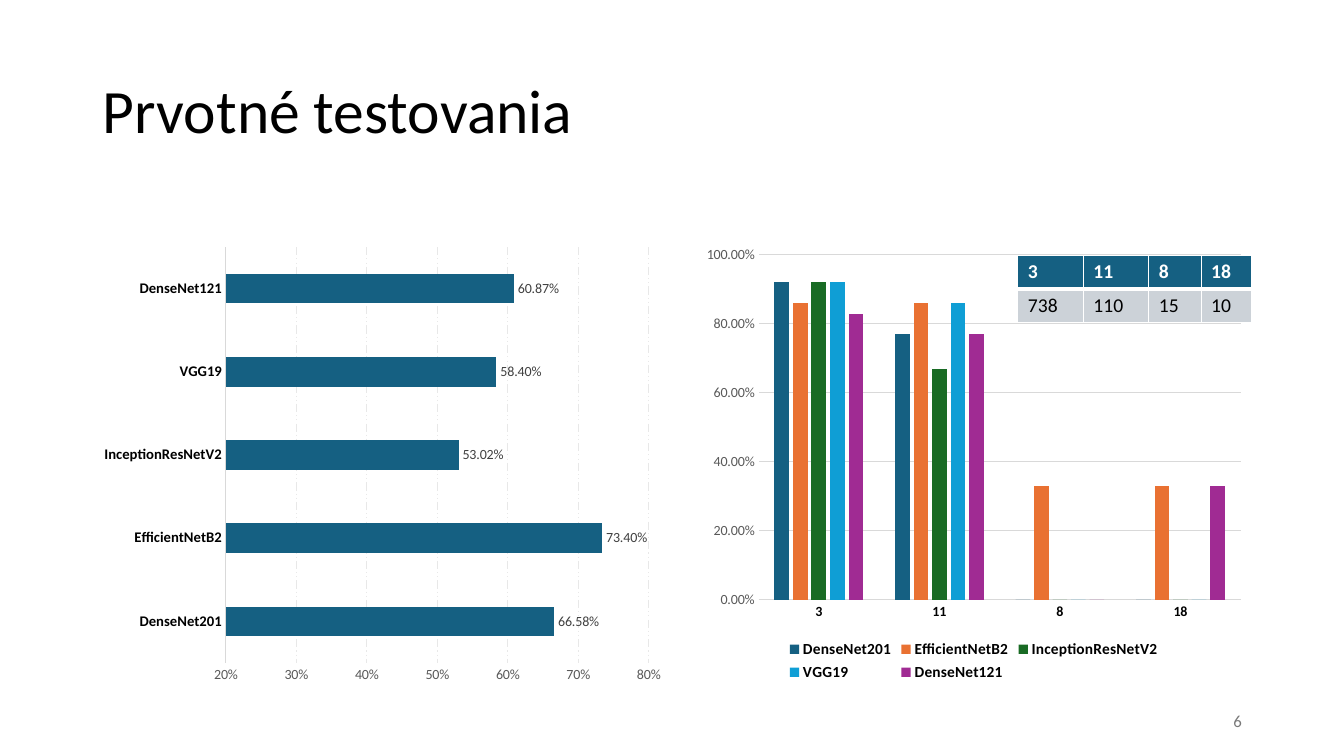
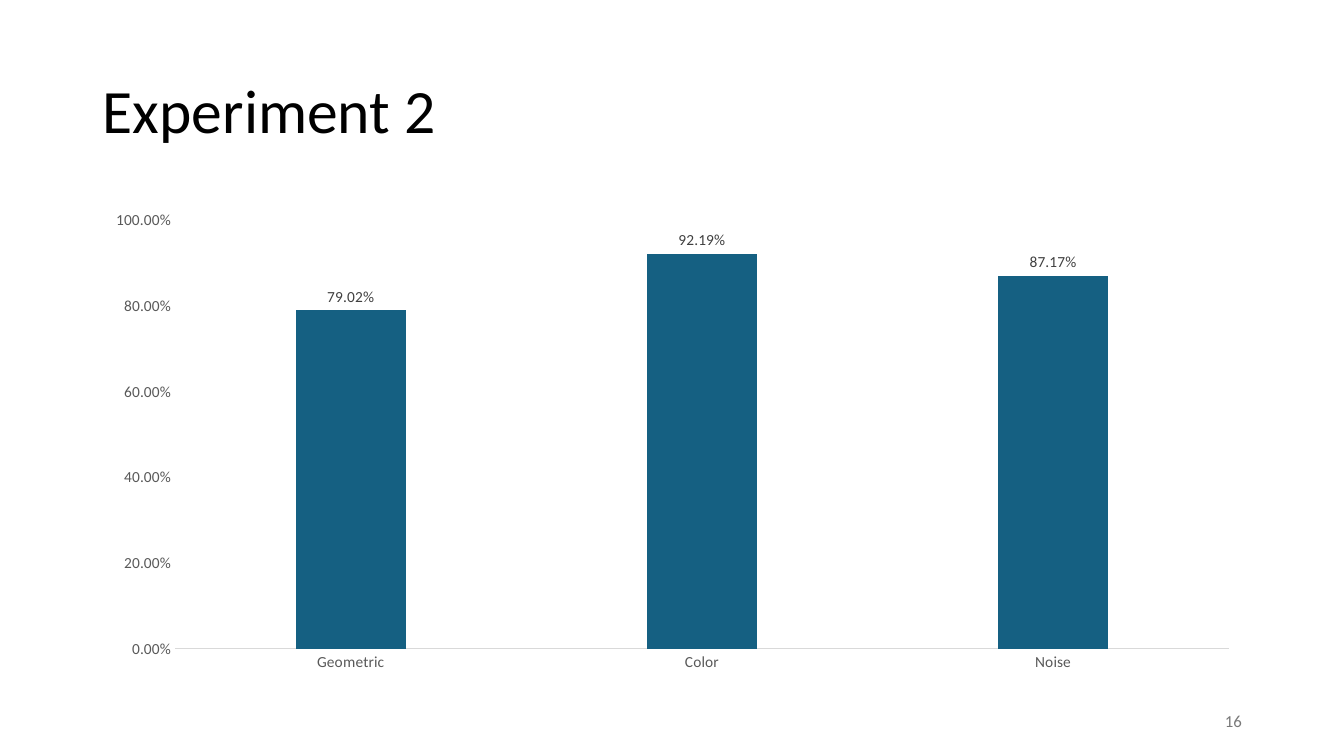
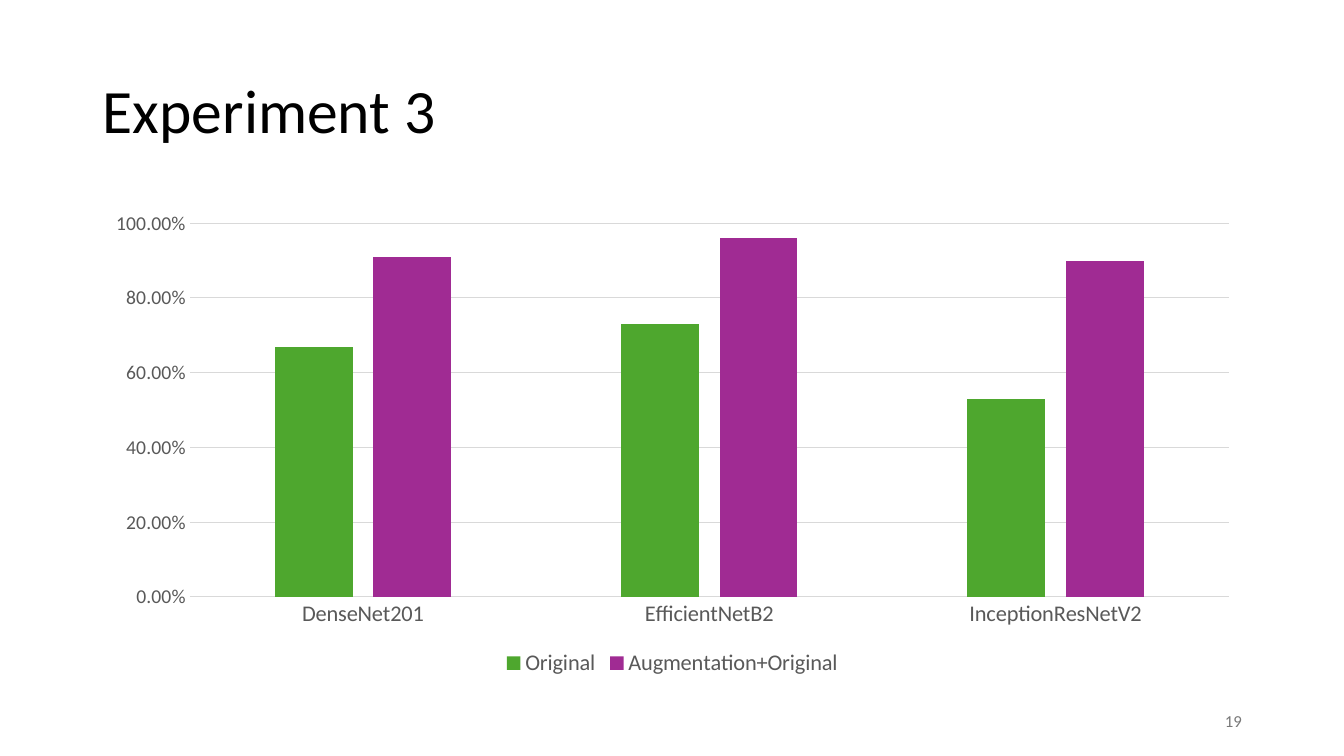
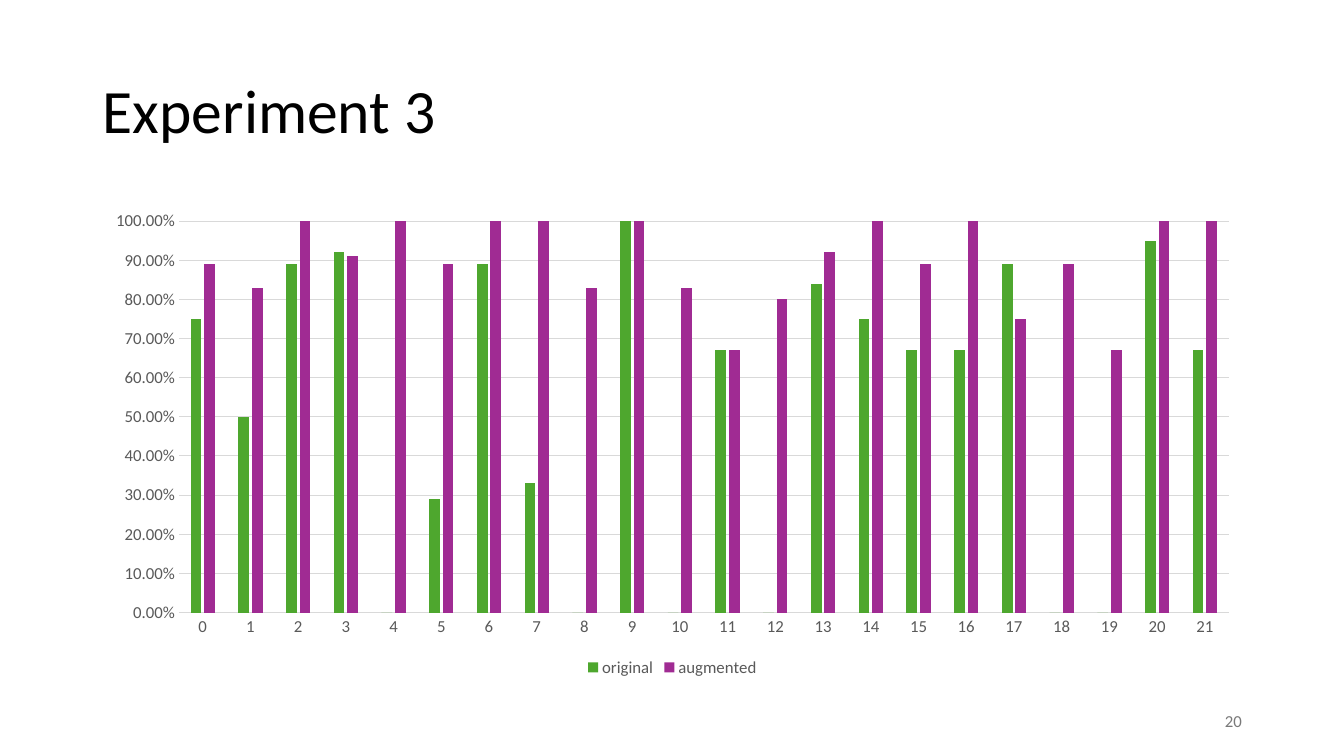
from collections import namedtuple

from lxml import etree
from pptx import Presentation
from pptx.chart.data import CategoryChartData
from pptx.dml.color import RGBColor
from pptx.enum.chart import XL_CHART_TYPE, XL_LABEL_POSITION, XL_LEGEND_POSITION, XL_TICK_MARK
from pptx.enum.dml import MSO_LINE
from pptx.enum.text import MSO_ANCHOR, MSO_AUTO_SIZE, PP_ALIGN
from pptx.oxml.ns import qn
from pptx.util import Cm, Pt

# Enum members
BARS, COLUMNS = XL_CHART_TYPE.BAR_CLUSTERED, XL_CHART_TYPE.COLUMN_CLUSTERED
OUTSIDE_END, BOTTOM = XL_LABEL_POSITION.OUTSIDE_END, XL_LEGEND_POSITION.BOTTOM
NO_TICK, DASH_DOT_DOT = XL_TICK_MARK.NONE, MSO_LINE.DASH_DOT_DOT
MIDDLE, NO_AUTOFIT = MSO_ANCHOR.MIDDLE, MSO_AUTO_SIZE.NONE
LEFT, RIGHT = PP_ALIGN.LEFT, PP_ALIGN.RIGHT

# Shared style
FONT = "Calibri"
BLACK = RGBColor(0x00, 0x00, 0x00)
WHITE = RGBColor(0xFF, 0xFF, 0xFF)
LABEL_GRAY = RGBColor(0x40, 0x40, 0x40)
AXIS_GRAY = RGBColor(0x59, 0x59, 0x59)
NUMBER_GRAY = RGBColor(0x79, 0x79, 0x79)
LINE_GRAY = RGBColor(0xD9, 0xD9, 0xD9)
PALE_GRAY = RGBColor(0xE8, 0xE8, 0xE8)
CELL_GRAY = RGBColor(0xCC, 0xD2, 0xD8)
BLUE = RGBColor(0x15, 0x60, 0x82)
ORANGE = RGBColor(0xE9, 0x71, 0x32)
DARK_GREEN = RGBColor(0x19, 0x6B, 0x24)
SKY = RGBColor(0x0F, 0x9E, 0xD5)
PURPLE = RGBColor(0xA0, 0x2B, 0x93)
GREEN = RGBColor(0x4E, 0xA7, 0x2E)

# Shared layout, in centimetres
Box = namedtuple("Box", "left top width height")
MARGIN, CONTENT_WIDTH = 2.34, 29.21
TITLE_BOX = Box(MARGIN, 1.02, CONTENT_WIDTH, 3.68)
NUMBER_BOX = Box(23.93, 17.65, 7.62, 1.02)
CHART_BOX = Box(MARGIN, 5.08, CONTENT_WIDTH, 12.09)
ACCURACY_BOX = Box(MARGIN, 6, 14.6, 11.43)
CLASSES_BOX = Box(17.53, 6, 14.02, 11.28)
COUNTS_BOX = Box(25.65, 6.43, 5.89, 1.52)

PERCENT = "0.00%"
Series = namedtuple("Series", "name color values")


def apply(target, **values):
    """Set every given attribute on the target."""
    for name, value in values.items():
        setattr(target, name, value)


def lengths(box):
    return [Cm(value) for value in box]


def style_font(font, size, color, bold=False):
    apply(font, name=FONT, size=Pt(size), bold=bold)
    font.color.rgb = color


def add_title(page, box, text):
    title = page.shapes.title
    apply(title, **dict(zip(box._fields, lengths(box))))
    frame = title.text_frame
    frame.text = text
    apply(frame, vertical_anchor=MIDDLE, auto_size=NO_AUTOFIT, word_wrap=True)
    para = frame.paragraphs[0]
    apply(para, alignment=LEFT, line_spacing=0.9)
    style_font(para.runs[0].font, 44, BLACK)


def add_page_number(page, box, number):
    frame = page.shapes.add_textbox(*lengths(box)).text_frame
    frame.text = str(number)
    apply(frame, vertical_anchor=MIDDLE, word_wrap=True)
    para = frame.paragraphs[0]
    para.alignment = RIGHT
    style_font(para.runs[0].font, 12, NUMBER_GRAY)


def style_axes(chart, category_font, value_size, low, high, step, value_format, grid):
    """Format both axes; grid is (color, dash) or None."""
    categories, values = chart.category_axis, chart.value_axis
    for axis in (categories, values):
        apply(axis, major_tick_mark=NO_TICK, minor_tick_mark=NO_TICK, has_major_gridlines=False)
    style_font(categories.tick_labels.font, *category_font)
    categories.format.line.color.rgb = LINE_GRAY
    categories.format.line.width = Pt(0.75)

    style_font(values.tick_labels.font, value_size, AXIS_GRAY)
    apply(values.tick_labels, number_format=value_format, number_format_is_linked=False)
    apply(values, minimum_scale=low, maximum_scale=high, major_unit=step)
    values.format.line.fill.background()
    if grid:
        values.has_major_gridlines = True
        line = values.major_gridlines.format.line
        line.color.rgb, dash = grid
        apply(line, width=Pt(0.75), dash_style=dash)


def add_percent_chart(page, box, categories, series, category_font, value_size,
                      kind=COLUMNS, gap=219, overlap=-27, low=0, high=1, step=0.2,
                      value_format=PERCENT, grid=(LINE_GRAY, None),
                      legend_font=None, label_size=None):
    data = CategoryChartData(number_format=PERCENT)
    data.categories = categories
    for item in series:
        data.add_series(item.name, item.values)
    chart = page.shapes.add_chart(kind, *lengths(box), data).chart
    style_font(chart.font, 10, BLACK)
    apply(chart, has_title=False, has_legend=bool(legend_font))
    style_axes(chart, category_font, value_size, low, high, step, value_format, grid)

    # Bars
    plot = chart.plots[0]
    apply(plot, gap_width=gap, overlap=overlap, vary_by_categories=False)
    for drawn, item in zip(plot.series, series):
        drawn.format.fill.solid()
        drawn.format.fill.fore_color.rgb = item.color
        drawn.invert_if_negative = False

    # Legend and value labels
    if legend_font:
        apply(chart.legend, position=BOTTOM, include_in_layout=False)
        style_font(chart.legend.font, *legend_font)
    if label_size:
        plot.has_data_labels = True
        labels = plot.data_labels
        apply(labels, show_value=True, position=OUTSIDE_END,
              number_format=PERCENT, number_format_is_linked=False)
        style_font(labels.font, label_size, LABEL_GRAY)


def set_borders(cell, widths):
    """Draw white cell borders; widths maps a side (L, R, T, B) to points."""
    properties = cell._tc.get_or_add_tcPr()
    for position, (side, width) in enumerate(widths.items()):
        line = etree.Element(qn(f"a:ln{side}"), w=str(Pt(width)))
        fill = etree.SubElement(line, qn("a:solidFill"))
        etree.SubElement(fill, qn("a:srgbClr"), val=str(WHITE))
        properties.insert(position, line)


def add_counts_table(page, box, rows, column_widths):
    table = page.shapes.add_table(len(rows), len(rows[0]), *lengths(box)).table
    for column, width in zip(table.columns, column_widths):
        column.width = Cm(width)
    # Fill, text color, bold and the top and bottom border of each row
    styles = [(BLUE, WHITE, True, 1, 3), (CELL_GRAY, BLACK, False, 3, 1)]
    for row, texts, (fill, color, bold, top, bottom) in zip(table.rows, rows, styles):
        row.height = Cm(box.height / len(rows))
        for cell, text in zip(row.cells, texts):
            cell.text = text
            style_font(cell.text_frame.paragraphs[0].runs[0].font, 14, color, bold)
            cell.fill.solid()
            cell.fill.fore_color.rgb = fill
            set_borders(cell, {"L": 1, "R": 1, "T": top, "B": bottom})


def add_page(deck, title, number):
    page = deck.slides.add_slide(deck.slide_layouts[5])
    add_title(page, TITLE_BOX, title)
    add_page_number(page, NUMBER_BOX, number)
    return page


def build_first_tests(deck):
    page = add_page(deck, "Prvotné testovania", 6)
    networks = ["DenseNet201", "EfficientNetB2", "InceptionResNetV2", "VGG19", "DenseNet121"]
    classes = ["3", "11", "8", "18"]
    accuracy = [Series("Series 1", BLUE, [0.6658, 0.734, 0.5302, 0.584, 0.6087])]
    add_percent_chart(page, ACCURACY_BOX, networks, accuracy, (10.5, BLACK, True), 10,
                      kind=BARS, gap=182, overlap=0, low=0.2, high=0.8, step=0.1,
                      value_format="0%", grid=(PALE_GRAY, DASH_DOT_DOT), label_size=10)
    colors = [BLUE, ORANGE, DARK_GREEN, SKY, PURPLE]
    values = [
        [0.92, 0.77, 0, 0],
        [0.86, 0.86, 0.33, 0.33],
        [0.92, 0.67, 0, 0],
        [0.92, 0.86, 0, 0],
        [0.83, 0.77, 0, 0.33],
    ]
    by_class = [Series(*parts) for parts in zip(networks, colors, values)]
    add_percent_chart(page, CLASSES_BOX, classes, by_class, (10, BLACK, True), 10,
                      legend_font=(11, BLACK, True))
    add_counts_table(page, COUNTS_BOX, [classes, ["738", "110", "15", "10"]],
                     [1.65, 1.65, 1.32, 1.27])


def build_augmentation_kinds(deck):
    page = add_page(deck, "Experiment 2", 16)
    series = [Series("Series 1", BLUE, [0.7902, 0.9219, 0.8717])]
    add_percent_chart(page, CHART_BOX, ["Geometric", "Color", "Noise"], series,
                      (11, AXIS_GRAY), 11, grid=None, label_size=11)


def build_network_comparison(deck):
    page = add_page(deck, "Experiment 3", 19)
    series = [
        Series("Original", GREEN, [0.67, 0.73, 0.53]),
        Series("Augmentation+Original", PURPLE, [0.91, 0.96, 0.9]),
    ]
    add_percent_chart(page, CHART_BOX, ["DenseNet201", "EfficientNetB2", "InceptionResNetV2"],
                      series, (16, AXIS_GRAY), 14, legend_font=(16, AXIS_GRAY))


def build_class_comparison(deck):
    page = add_page(deck, "Experiment 3", 20)
    series = [
        Series("original", GREEN,
               [0.75, 0.5, 0.89, 0.92, 0, 0.29, 0.89, 0.33, 0, 1, 0,
                0.67, 0, 0.84, 0.75, 0.67, 0.67, 0.89, 0, 0, 0.95, 0.67]),
        Series("augmented", PURPLE,
               [0.89, 0.83, 1, 0.91, 1, 0.89, 1, 1, 0.83, 1, 0.83,
                0.67, 0.8, 0.92, 1, 0.89, 1, 0.75, 0.89, 0.67, 1, 1]),
    ]
    add_percent_chart(page, CHART_BOX, [str(index) for index in range(22)], series,
                      (12, AXIS_GRAY), 12, step=0.1, legend_font=(12, AXIS_GRAY))


def main():
    deck = Presentation()
    apply(deck, slide_width=Cm(33.87), slide_height=Cm(19.05))
    build_first_tests(deck)
    build_augmentation_kinds(deck)
    build_network_comparison(deck)
    build_class_comparison(deck)
    deck.save("out.pptx")


if __name__ == "__main__":
    main()
